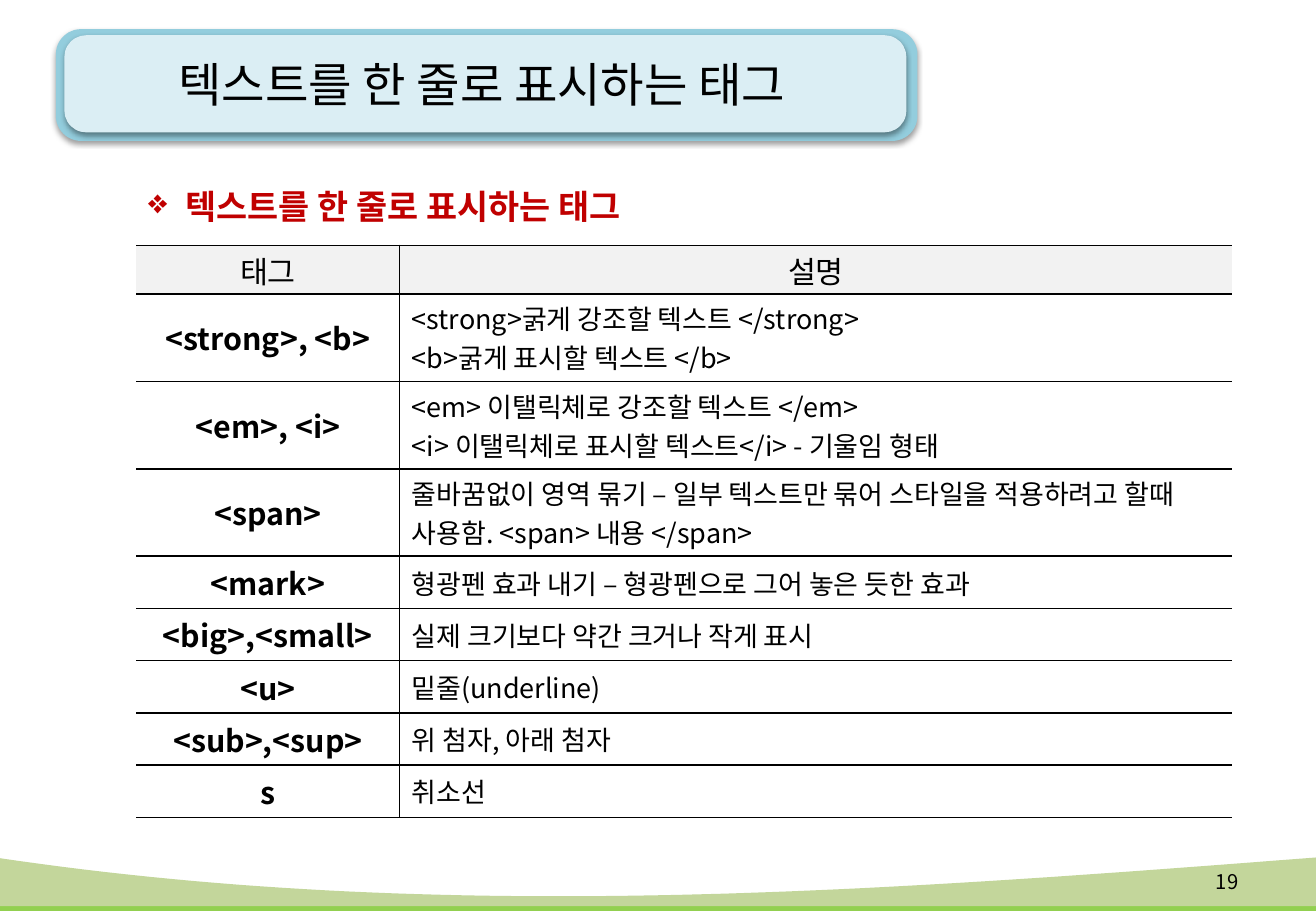
"""Build the slide listing the HTML tags that show text on one line."""
from lxml import etree
from pptx import Presentation
from pptx.dml.color import RGBColor
from pptx.enum import shapes, text
from pptx.oxml import parse_xml
from pptx.oxml.ns import nsdecls, qn
from pptx import util as u

PX = 9144
FONT = "Noto Sans CJK KR"
COLORS = {"ink": "000000", "accent": "C00000", "header": "F2F2F2",
          "rim": "93CDDD", "panel": "DBEEF4", "strip": "92D050", "hill": "C3D69B"}
CENTER, LEFT, RIGHT = text.PP_ALIGN.CENTER, text.PP_ALIGN.LEFT, text.PP_ALIGN.RIGHT
MIDDLE, TOP = text.MSO_ANCHOR.MIDDLE, text.MSO_ANCHOR.TOP


def write(frame, content, size=16, bold=False, color="ink", align=LEFT, anchor=MIDDLE):
    frame.word_wrap = True
    frame.vertical_anchor = anchor
    for index, line in enumerate(content.split("\n")):
        paragraph = frame.add_paragraph() if index else frame.paragraphs[0]
        paragraph.alignment = align
        run = paragraph.add_run()
        run.text = line
        run.font.size, run.font.bold, run.font.name = u.Pt(size), bold, FONT
        run.font.color.rgb = RGBColor.from_string(COLORS[color])
        etree.SubElement(run.font._element, qn("a:ea"), typeface=FONT)


def paint(shape, color):
    shape.shadow.inherit = False
    shape.fill.solid()
    shape.fill.fore_color.rgb = RGBColor.from_string(COLORS[color])
    shape.line.fill.background()


prs = Presentation()
prs.slide_width, prs.slide_height = 1083 * PX, 750 * PX
slide = prs.slides.add_slide(prs.slide_layouts[5])

STEPS = 60
waves = [("strip", (724, 760, 743, 724), 750), ("hill", (706, 761, 734, 706), 746)]
for color, (y0, y1, y2, y3), base in waves:
    curve = []
    for step in range(STEPS + 1):
        t = step / STEPS
        weights = ((1 - t) ** 3, 3 * t * (1 - t) ** 2, 3 * t * t * (1 - t), t ** 3)
        curve.append([round(sum(w * v for w, v in zip(weights, values)) * PX)
                      for values in ((-4, 364, 719, 1083), (y0, y1, y2, y3))])
    builder = slide.shapes.build_freeform(*curve[0])
    builder.add_line_segments(curve[1:] + [(1083 * PX, base * PX), (-4 * PX, base * PX)])
    paint(builder.convert_to_shape(), color)

for color, box in [("rim", (46, 24, 709, 92)), ("panel", (53, 29, 693, 80))]:
    banner = slide.shapes.add_shape(
        shapes.MSO_SHAPE.ROUNDED_RECTANGLE, *(v * PX for v in box))
    banner.adjustments[0] = 0.225
    paint(banner, color)
    banner.element.spPr.find(qn("a:effectLst")).append(parse_xml(
        f'<a:outerShdw {nsdecls("a")} blurRad="40000" dist="20000" dir="5400000" '
        f'rotWithShape="0"><a:srgbClr val="{COLORS["ink"]}"><a:alpha val="38000"/>'
        '</a:srgbClr></a:outerShdw>'))

title = slide.shapes.title
title.left, title.top, title.width, title.height = (v * PX for v in (46, 22, 701, 94))
write(title.text_frame, "텍스트를 한 줄로 표시하는 태그", size=28, align=CENTER)
banner.element.addnext(title.element)

page_number = slide.shapes.add_textbox(*(v * PX for v in (968, 706, 61, 40)))
write(page_number.text_frame, "19", size=12, align=RIGHT)

heading = slide.shapes.add_textbox(*(v * PX for v in (112, 131, 453, 61)))
write(heading.text_frame, "텍스트를 한 줄로 표시하는 태그", size=20, bold=True,
      color="accent", anchor=TOP)
heading.text_frame.auto_size = text.MSO_AUTO_SIZE.SHAPE_TO_FIT_TEXT
bullet_line = heading.text_frame.paragraphs[0]
bullet_line.line_spacing = 1.5
bullet_format = bullet_line._p.get_or_add_pPr()
bullet_format.set("marL", str(31 * PX))
bullet_format.set("indent", str(-31 * PX))
etree.SubElement(bullet_format, qn("a:buChar"), char="❖")

tags = [
    ("태그", "설명", 40),
    ("<strong>, <b>", "<strong>굵게 강조할 텍스트 </strong>\n<b>굵게 표시할 텍스트 </b>", 72),
    ("<em>, <i>", "<em> 이탤릭체로 강조할 텍스트 </em>\n"
                  "<i> 이탤릭체로 표시할 텍스트</i> - 기울임 형태", 72),
    ("<span>", "줄바꿈없이 영역 묶기 – 일부 텍스트만 묶어 스타일을 적용하려고 할때 "
               "사용함. <span> 내용 </span>", 72),
    ("<mark>", "형광펜 효과 내기 – 형광펜으로 그어 놓은 듯한 효과", 43),
    ("<big>,<small>", "실제 크기보다 약간 크거나 작게 표시", 43),
    ("<u>", "밑줄(underline)", 43),
    ("<sub>,<sup>", "위 첨자, 아래 첨자", 43),
    ("s", "취소선", 43),
]
table = slide.shapes.add_table(
    len(tags), 2, *(v * PX for v in (112, 202, 902, sum(row[2] for row in tags)))).table
table.first_row = table.horz_banding = False
table.columns[0].width, table.columns[1].width = 217 * PX, 685 * PX
for r, (tag, description, height) in enumerate(tags):
    table.rows[r].height = height * PX
    for c, content in enumerate((tag, description)):
        cell = table.cell(r, c)
        cell.margin_top = cell.margin_bottom = 2 * PX
        is_header, is_tag = r == 0, c == 0
        write(cell.text_frame, content, size=18 if is_header or is_tag else 16,
              bold=is_tag and not is_header, align=CENTER if is_header or is_tag else LEFT)
        cell.vertical_anchor = MIDDLE
        outer_side = "L" if is_tag else "R"
        for side in "LRTB":
            stroke = ("<a:noFill/>" if side == outer_side else
                      f'<a:solidFill><a:srgbClr val="{COLORS["ink"]}"/></a:solidFill>')
            cell._tc.get_or_add_tcPr().append(parse_xml(
                f'<a:ln{side} {nsdecls("a")} w="12700">{stroke}</a:ln{side}>'))
        if is_header:
            cell.fill.solid()
            cell.fill.fore_color.rgb = RGBColor.from_string(COLORS["header"])
        else:
            cell.fill.background()

prs.save("out.pptx")
